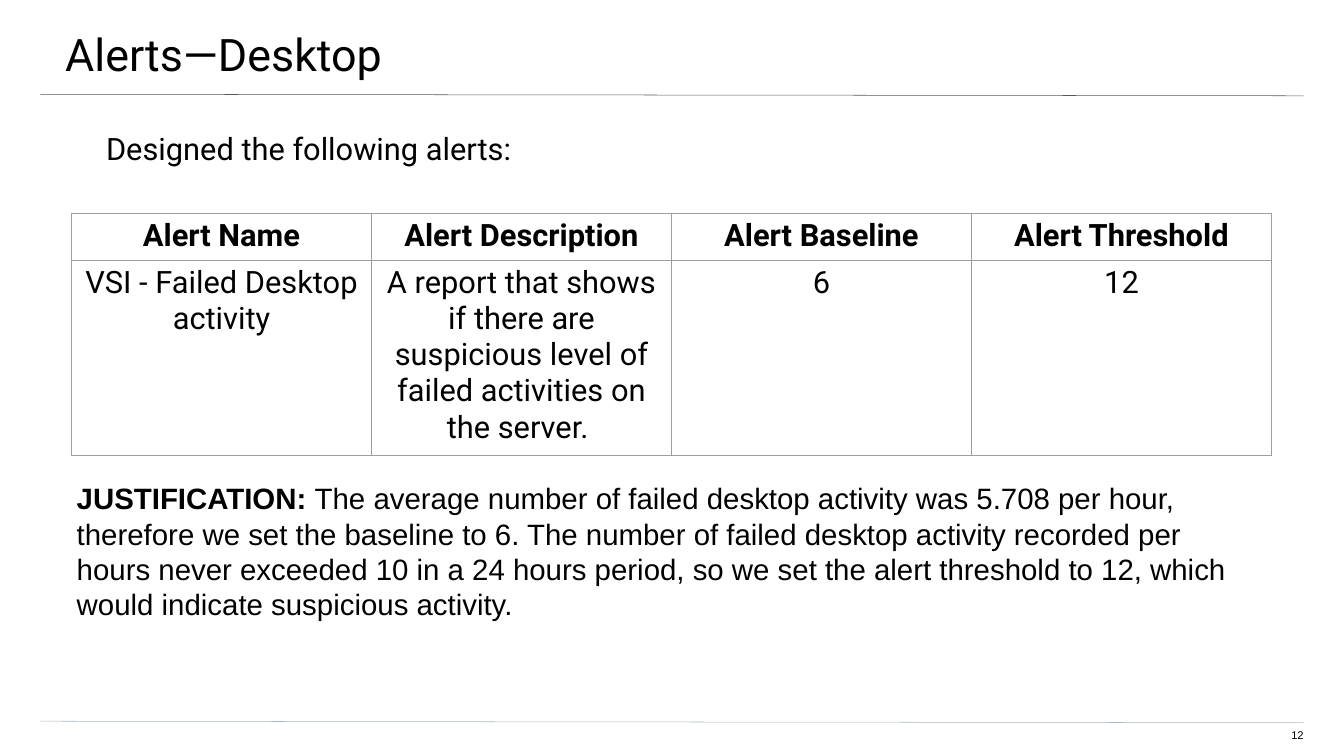
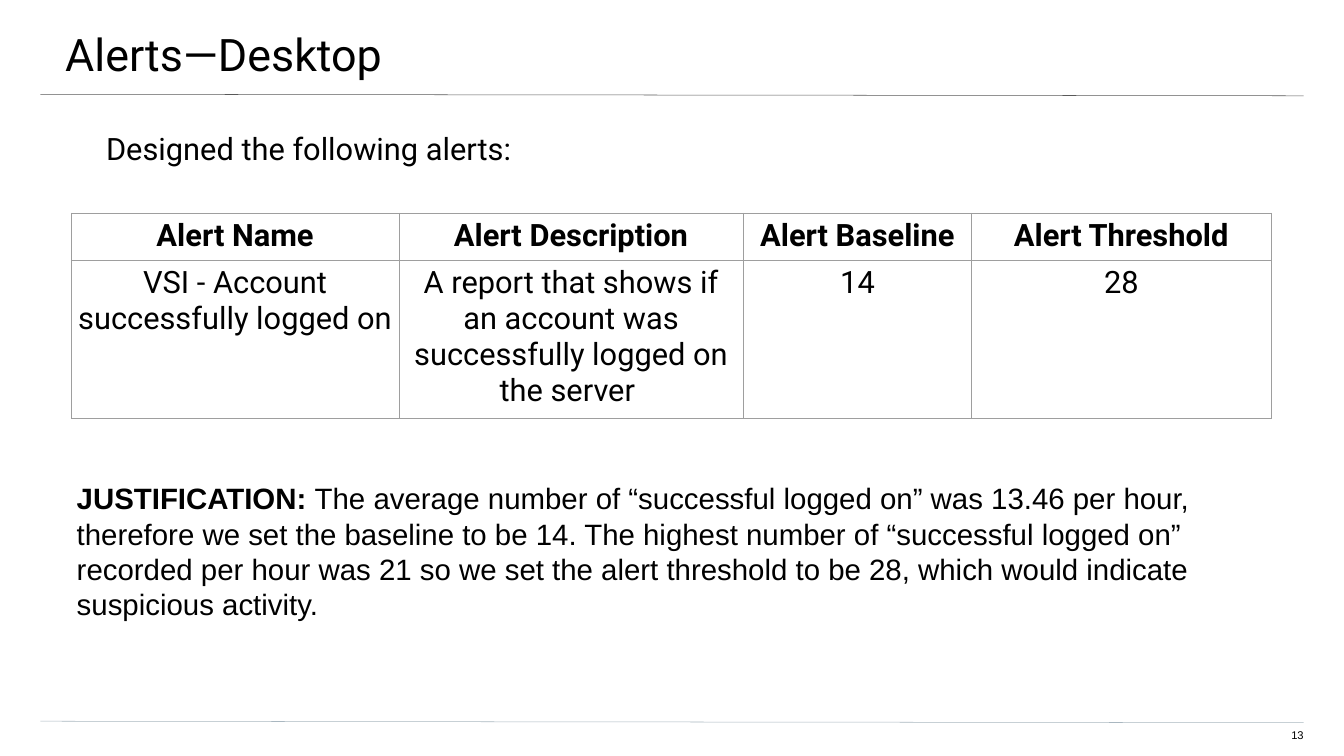
"""Build two alert slides, each with a table of one alert and its justification."""
from lxml.etree import SubElement
from pptx import Presentation
from pptx.dml.color import RGBColor
from pptx.enum.shapes import MSO_CONNECTOR
from pptx.enum.text import MSO_ANCHOR, PP_ALIGN
from pptx.oxml import parse_xml
from pptx.oxml.ns import nsdecls, qn
from pptx.util import Inches, Pt

BLACK = RGBColor(0x00, 0x00, 0x00)
WHITE = RGBColor(0xFF, 0xFF, 0xFF)
TITLE_RULE = RGBColor(0x59, 0x59, 0x59)
FOOTER_RULE = RGBColor(0xA9, 0xB7, 0xC0)
CELL_BORDER = RGBColor(0x9E, 0x9E, 0x9E)

HEADERS = ["Alert Name", "Alert Description", "Alert Baseline", "Alert Threshold"]
RULES = [(12.47, 12.67, TITLE_RULE), (95.4, 95.6, FOOTER_RULE)]
ALERTS = [
    (12, [22.32, 22.32, 22.32, 22.32],
     ["VSI - Failed Desktop activity",
      "A report that shows if there are suspicious level of failed activities on the server. ",
      "6", "12"],
     "The average number of failed desktop activity was 5.708 per hour, therefore we set "
     "the baseline to 6. The number of failed desktop activity recorded per hours never "
     "exceeded 10 in a 24 hours period, so we set the alert threshold to 12, which would "
     "indicate suspicious activity."),
    (13, [24.34, 25.66, 16.95, 22.32],
     ["VSI - Account successfully logged on ",
      "A report that shows if an account was successfully logged on the server ",
      "14", "28"],
     "The average number of “successful logged on” was 13.46 per hour, therefore we set "
     "the baseline to be 14. The highest number of “successful logged on” recorded per "
     "hour was 21 so we set the alert threshold to be 28, which would indicate suspicious "
     "activity."),
]

prs = Presentation()
prs.slide_width, prs.slide_height = Inches(26.66), Inches(15)
PX, PY = prs.slide_width / 100, prs.slide_height / 100


def style(p, text, size, font, spacing=None, align=PP_ALIGN.LEFT, bold=False):
    """Fill a paragraph with text in one font."""
    p.add_run().text = text
    p.alignment, p.line_spacing = align, spacing
    p.font.size, p.font.name, p.font.bold = Pt(size), font, bold
    p.font.color.rgb = BLACK
    return p


def box(s, left, top, width, height, insets):
    """Add a text box, measured in percent of the slide, and return its paragraph."""
    sp = s.shapes.add_textbox(int(left * PX), int(top * PY), int(width * PX), int(height * PY))
    tf = sp.text_frame
    tf.word_wrap, tf.vertical_anchor = True, MSO_ANCHOR.TOP
    tf.margin_left, tf.margin_right = int(insets[0] * PX), int(insets[2] * PX)
    tf.margin_top, tf.margin_bottom = int(insets[1] * PY), int(insets[3] * PY)
    return tf.paragraphs[0]


for number, widths, values, reason in ALERTS:
    s = prs.slides.add_slide(prs.slide_layouts[6])
    s.background.fill.solid()
    s.background.fill.fore_color.rgb = WHITE
    for start, end, color in RULES:
        rule = s.shapes.add_connector(MSO_CONNECTOR.STRAIGHT, int(3 * PX), int(start * PY),
                                      int(97 * PX), int(end * PY))
        rule.line.color.rgb, rule.line.width = color, Pt(0.75)
        SubElement(rule.element.spPr, qn("a:effectLst"))

    style(box(s, -0.15, 0, 100.26, 10.4, (5, 3.53, 3, 1.8)),
          "Alerts—Desktop", 64, "Roboto")
    style(box(s, 94.15, 96.4, 2.85, 2.07, (0, 0, 0, 1.8)),
          str(number), 16, "Arial", align=PP_ALIGN.RIGHT)
    style(box(s, 2.89, 16.73, 94.11, 71.93, (5, 0, 5, 0)),
          "Designed the following alerts:", 44, "Roboto", 1.1)

    table = s.shapes.add_table(2, len(HEADERS), int(5.33 * PX), int(28.2 * PY),
                               int(sum(widths) * PX), int(9 * PY)).table
    table.first_row = table.horz_banding = False
    for column, width in zip(table.columns, widths):
        column.width = int(width * PX)
    for row, height, texts in zip(table.rows, (2.8, 6.2), (HEADERS, values)):
        row.height = int(height * PY)
        for cell, text in zip(row.cells, texts):
            cell.fill.background()
            cell.margin_left = cell.margin_right = int(0.38 * PX)
            cell.margin_top = cell.margin_bottom = int(0.66 * PY)
            style(cell.text_frame.paragraphs[0], text, 44, "Roboto",
                  align=PP_ALIGN.CENTER, bold=texts is HEADERS)
            for i, side in enumerate("LRTB"):
                cell._tc.get_or_add_tcPr().insert(i, parse_xml(
                    f'<a:ln{side} {nsdecls("a")} w="{Pt(0.75)}"><a:solidFill>'
                    f'<a:srgbClr val="{CELL_BORDER}"/></a:solidFill></a:ln{side}>'))

    p = style(box(s, 5.33, 62.87, 89.23, 20.2, (0.38, 0.67, 1.2, 0.67)),
              "JUSTIFICATION: ", 42, "Arial")
    p.runs[0].font.bold = True
    p.add_run().text = reason

prs.save("out.pptx")
